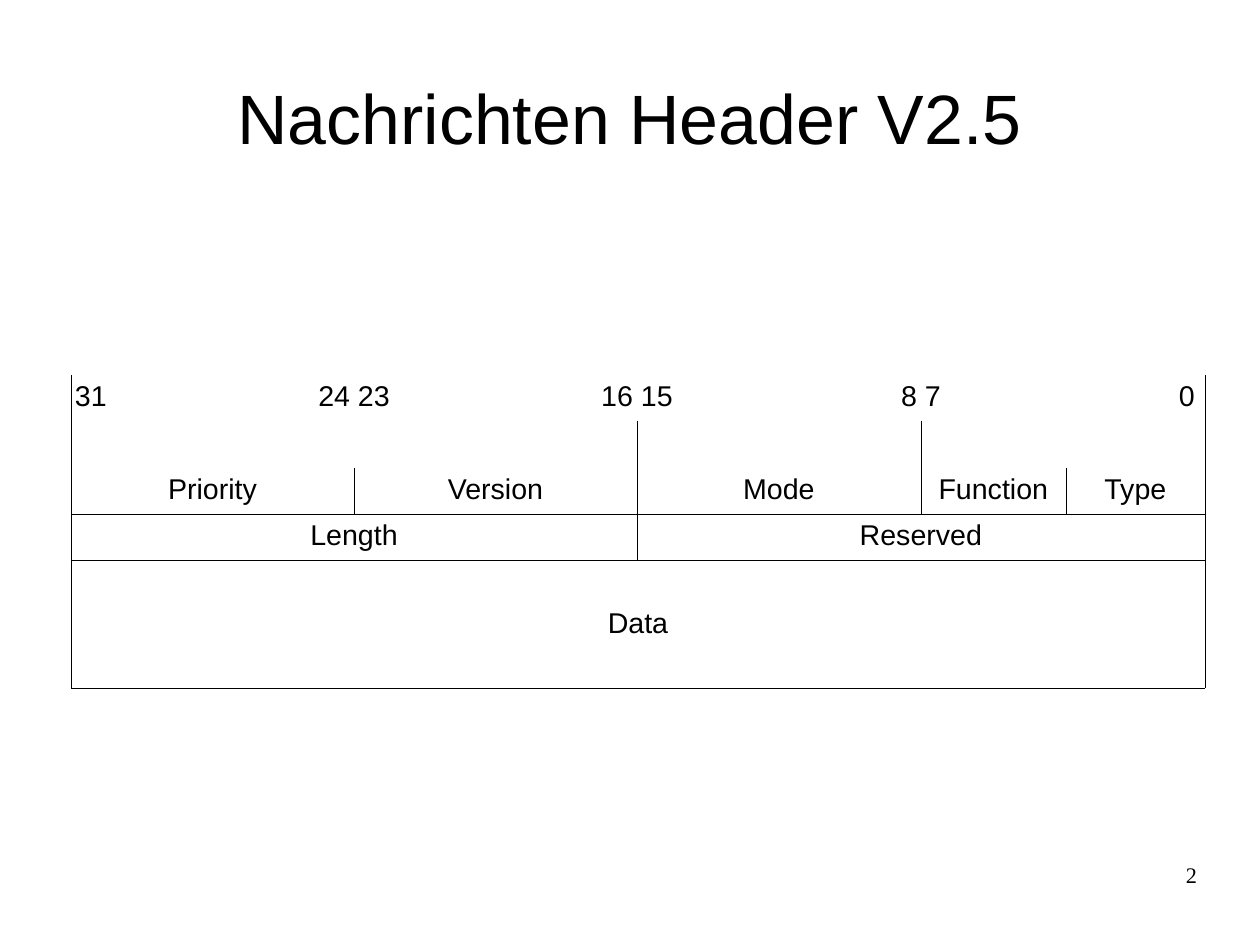
from lxml import etree
from pptx import Presentation
from pptx.dml.color import RGBColor
from pptx.enum.text import MSO_ANCHOR as Anchor, MSO_AUTO_SIZE as AutoSize, PP_ALIGN as Align
from pptx.oxml.ns import qn
from pptx.util import Emu, Pt

BLACK = RGBColor(0x00, 0x00, 0x00)
WHITE = RGBColor(0xFF, 0xFF, 0xFF)
EMU_PER_PX = 8000
BORDER_WIDTH = Pt(0.06)

COLUMN_WIDTHS = [142, 141, 142, 141, 142, 142, 145, 103, 36]
ROW_HEIGHTS = [46, 45, 46, 46, 128]

# Each field: text, columns covered, alignment
HEADER_ROWS = [
    [("31", 1, Align.LEFT), ("24", 1, Align.RIGHT), ("23", 1, Align.LEFT),
     ("16", 1, Align.RIGHT), ("15", 1, Align.LEFT), ("8", 1, Align.RIGHT),
     ("7", 2, Align.LEFT), ("0", 1, Align.CENTER)],
    [("", 2, Align.LEFT), ("", 2, Align.LEFT), ("", 2, Align.LEFT), ("", 3, Align.LEFT)],
    [("Priority", 2, Align.CENTER), ("Version", 2, Align.CENTER),
     ("Mode", 2, Align.CENTER), ("Function", 1, Align.CENTER), ("Type", 2, Align.CENTER)],
    [("Length", 4, Align.CENTER), ("Reserved", 5, Align.CENTER)],
    [("Data", 9, Align.CENTER)],
]
# Column edges ruled in each row, and row edges ruled across the table
COLUMN_RULES = [{0, 9}, {0, 4, 6, 9}, {0, 2, 4, 6, 7, 9}, {0, 4, 9}, {0, 9}]
ROW_RULES = {3, 4, 5}


def px(length):
    return Emu(length * EMU_PER_PX)


def write_text(frame, text, size=18, font="Arial", align=Align.LEFT):
    paragraph = frame.paragraphs[0]
    paragraph.alignment = align
    paragraph.font.size = Pt(size)
    if text:
        run = paragraph.add_run()
        run.text = text
        run.font.size = Pt(size)
        run.font.name = font
        run.font.color.rgb = BLACK


def clear_margins(frame):
    frame.margin_left = frame.margin_right = 0
    frame.margin_top = frame.margin_bottom = 0


def set_border(cell, side, visible):
    properties = cell._tc.get_or_add_tcPr()
    line = etree.SubElement(properties, qn(f"a:ln{side}"), w=str(BORDER_WIDTH))
    if visible:
        fill = etree.SubElement(line, qn("a:solidFill"))
        etree.SubElement(fill, qn("a:srgbClr"), val=str(BLACK))
    else:
        etree.SubElement(line, qn("a:noFill"))


def format_cell(cell, row, column, span):
    set_border(cell, "L", column in COLUMN_RULES[row])
    set_border(cell, "R", column + span in COLUMN_RULES[row])
    set_border(cell, "T", row in ROW_RULES)
    set_border(cell, "B", row + 1 in ROW_RULES)
    cell.fill.solid()
    cell.fill.fore_color.rgb = WHITE
    cell.margin_left = cell.margin_right = px(4)
    cell.margin_top = cell.margin_bottom = px(6)


def add_title(slide, text):
    title = slide.shapes.title
    title.left, title.top, title.width, title.height = px(63), px(38), px(1134), px(158)
    frame = title.text_frame
    clear_margins(frame)
    frame.auto_size = AutoSize.NONE
    frame.vertical_anchor = Anchor.MIDDLE
    write_text(frame, text, size=44, align=Align.CENTER)


def add_header_table(slide):
    graphic_frame = slide.shapes.add_table(
        len(ROW_HEIGHTS), len(COLUMN_WIDTHS), px(71), px(375),
        px(sum(COLUMN_WIDTHS)), px(sum(ROW_HEIGHTS)))
    table = graphic_frame.table
    table.first_row = table.horz_banding = False
    for column, width in zip(table.columns, COLUMN_WIDTHS):
        column.width = px(width)
    for row, height in zip(table.rows, ROW_HEIGHTS):
        row.height = px(height)

    for row, fields in enumerate(HEADER_ROWS):
        start = 0
        for text, span, align in fields:
            field = table.cell(row, start)
            if span > 1:
                field.merge(table.cell(row, start + span - 1))
            format_cell(field, row, start, span)
            for column in range(start + 1, start + span):
                format_cell(table.cell(row, column), row, column, 1)
            write_text(field.text_frame, text, align=align)
            start += span
    table.cell(len(HEADER_ROWS) - 1, 0).vertical_anchor = Anchor.MIDDLE


def add_page_number(slide, number):
    box = slide.shapes.add_textbox(px(903), px(861), px(294), px(65))
    clear_margins(box.text_frame)
    box.text_frame.word_wrap = True
    write_text(box.text_frame, number, size=14, font="Times New Roman", align=Align.RIGHT)


def main():
    presentation = Presentation()
    presentation.slide_width = px(1260)
    presentation.slide_height = px(945)
    slide = presentation.slides.add_slide(presentation.slide_layouts[5])
    add_title(slide, "Nachrichten Header V2.5")
    add_header_table(slide)
    add_page_number(slide, "2")
    presentation.save("out.pptx")


if __name__ == "__main__":
    main()
